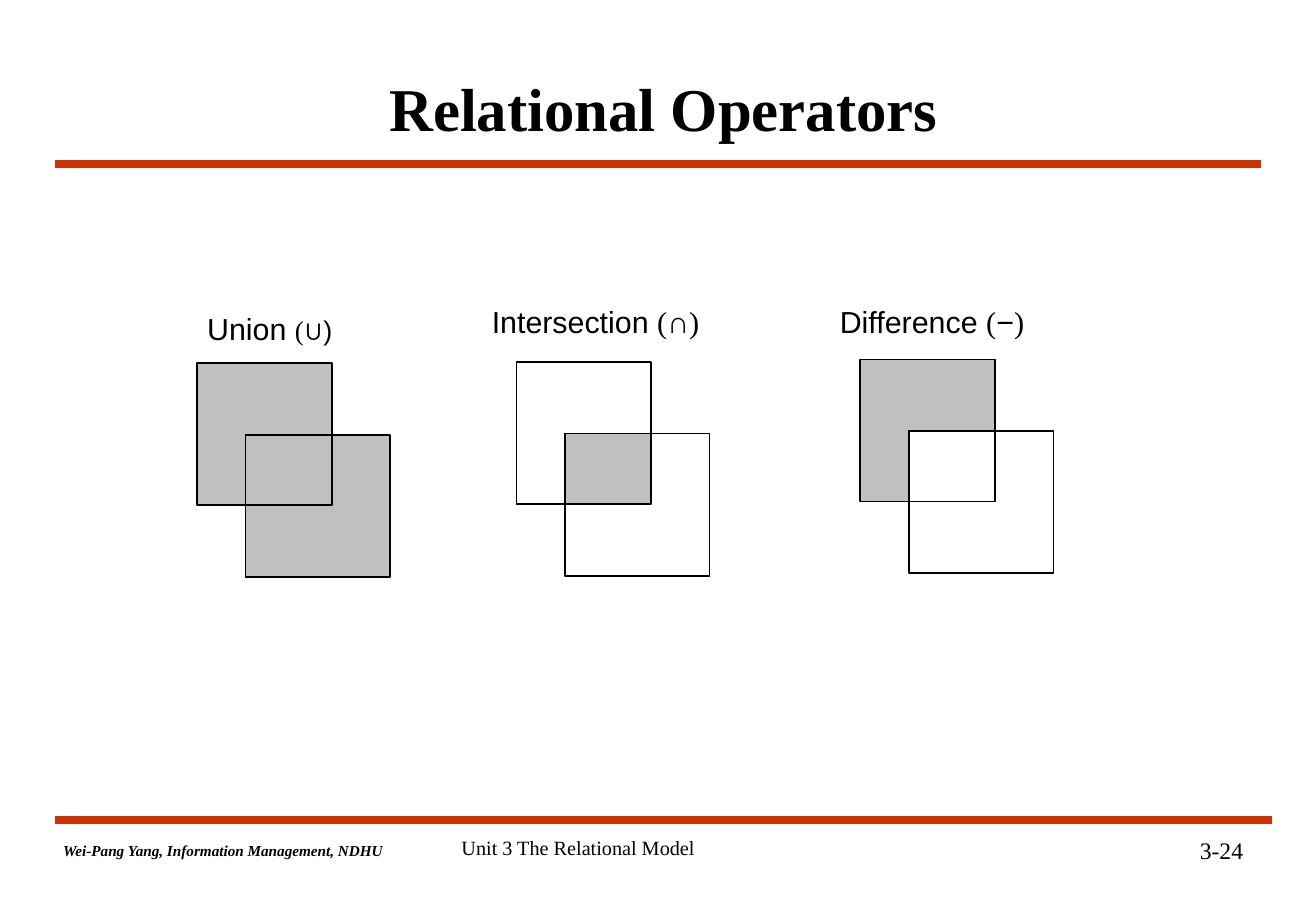
"""Build the Relational Operators slide: three set operators as overlapping squares."""
from lxml import etree
from pptx import Presentation, util as u
from pptx.dml.color import RGBColor
from pptx.enum import shapes, text
from pptx.oxml.ns import qn

WIDTH, HEIGHT = u.Inches(10.83), u.Inches(7.5)
SANS, SERIF = "Arial", "Times New Roman"
BLACK, WHITE, GREY, RED = "000000", "FFFFFF", "C0C0C0", "CC3300"
LEFT, CENTER, RIGHT = text.PP_ALIGN.LEFT, text.PP_ALIGN.CENTER, text.PP_ALIGN.RIGHT

# Boxes and points are percentages of the slide's width and height.
TITLE = ("Relational Operators", (9.14, 5.6, 82.55, 12.27))
RULES = [(4.16, 95.84, 18), (4.16, 96.68, 90)]
FOOTERS = [
    ("3-24", (69.25, 91.07, 26.13, 6.67), 14, False, RIGHT),
    ("Wei-Pang Yang, Information Management, NDHU", (3.88, 91.73, 29.82, 3.33), 9, True, LEFT),
    ("Unit 3 The Relational Model", (34.16, 91.07, 31.67, 6.67), 12, False, LEFT),
]
FIRST, SECOND, OFFSET, LABEL = (10.25, 15.6), (10.99, 15.6), (3.69, 7.87), (11.82, 4)
OPERATORS = [
    ([("Union ", 18, SANS), ("(", 16, SERIF), ("∪)", 16, SANS)],
     (14.59, 34), (14.96, 39.87), (GREY, GREY, GREY)),
    ([("Intersection ", 18, SANS), ("(", 18, SERIF), ("∩", 18, SANS), (")", 18, SERIF)],
     (39.34, 33.33), (39.24, 39.73), (WHITE, WHITE, GREY)),
    ([("Difference ", 18, SANS), ("(", 18, SERIF), ("−", 18, SANS), (")", 18, SERIF)],
     (64.91, 33.33), (65.37, 39.47), (GREY, WHITE, WHITE)),
]


def rgb(value):
    """Turn a hex string into a colour."""
    return RGBColor.from_string(value)


def scale(*shares):
    """Turn alternating width and height percentages into lengths."""
    return [round(v * (HEIGHT if i % 2 else WIDTH) / 100) for i, v in enumerate(shares)]


def write(tf, runs, align, bold=False, italic=False):
    """Fill the first paragraph with (words, size, font) runs."""
    p = tf.paragraphs[0]
    p.alignment = align
    for words, size, font in runs:
        r = p.add_run()
        r.text = words
        r.font.size, r.font.name = u.Pt(size), font
        r.font.bold, r.font.italic = bold, italic
        r.font.color.rgb = rgb(BLACK)


def add_rect(s, box, fill, outlined=True):
    """Add a flat rectangle."""
    sp = s.shapes.add_shape(shapes.MSO_SHAPE.RECTANGLE, *scale(*box))
    sp.shadow.inherit = False
    sp.fill.solid()
    sp.fill.fore_color.rgb = rgb(fill)
    if outlined:
        sp.line.color.rgb, sp.line.width = rgb(BLACK), u.Pt(1)
    else:
        sp.line.fill.background()
    return sp


def add_rule(s, x1, x2, y):
    """Add a thick horizontal rule."""
    line = s.shapes.add_connector(shapes.MSO_CONNECTOR.STRAIGHT, *scale(x1, y, x2, y))
    line.line.color.rgb, line.line.width = rgb(RED), u.Pt(4.5)
    etree.SubElement(line._element.spPr, qn("a:effectLst"))


def add_title(s, words, box):
    """Place and format the title placeholder."""
    sp = s.shapes.title
    sp.left, sp.top, sp.width, sp.height = scale(*box)
    sp.text_frame.vertical_anchor = text.MSO_ANCHOR.MIDDLE
    write(sp.text_frame, [(words, 36, SERIF)], CENTER, bold=True)


def add_operator(s, label, label_at, origin, fills):
    """Add a label above two overlapping squares and their intersection."""
    tf = add_rect(s, label_at + LABEL, WHITE, outlined=False).text_frame
    tf.word_wrap = False
    tf.vertical_anchor = text.MSO_ANCHOR.MIDDLE
    write(tf, label, CENTER)
    corner = tuple(a + b for a, b in zip(origin, OFFSET))
    overlap = tuple(a - b for a, b in zip(FIRST, OFFSET))
    for box, fill in zip((origin + FIRST, corner + SECOND, corner + overlap), fills):
        add_rect(s, box, fill)


def main():
    """Build and save the slide."""
    prs = Presentation()
    prs.slide_width, prs.slide_height = WIDTH, HEIGHT
    s = prs.slides.add_slide(prs.slide_layouts[5])
    for rule in RULES:
        add_rule(s, *rule)
    add_title(s, *TITLE)
    for operator in OPERATORS:
        add_operator(s, *operator)
    for words, box, size, strong, align in FOOTERS:
        tf = s.shapes.add_textbox(*scale(*box)).text_frame
        tf.word_wrap = True
        write(tf, [(words, size, SERIF)], align, bold=strong, italic=strong)
    prs.save("out.pptx")


if __name__ == "__main__":
    main()
